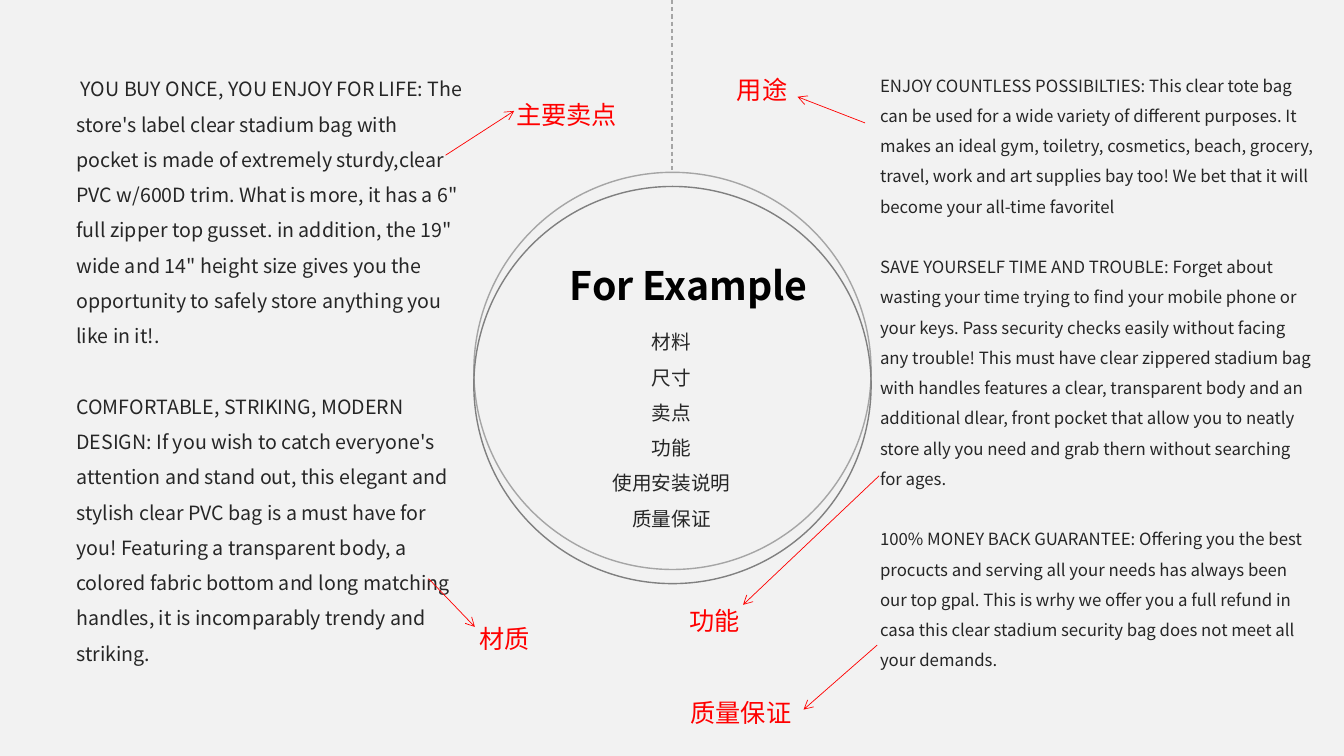
from dataclasses import dataclass

import pptx
import pptx.dml.color
import pptx.enum.dml
import pptx.enum.shapes
import pptx.enum.text
import pptx.oxml.ns
import pptx.util
from lxml import etree

COLUMNS, ROWS = 133.3, 75  # square grid cells of a tenth of an inch
BACKGROUND, RED, INK, BLACK = "F2F2F2", "FF0000", "262626", "000000"
LIGHT_GRAY, DARK_GRAY = "A5A5A5", "808080"
BODY_FONT, LABEL_FONT = "Noto Sans CJK SC", "Open Sans"
LABEL_HEIGHT = 4
CIRCLE_LEFT, CIRCLE_SIZE = 47, 39.4
LEFT, CENTER = pptx.enum.text.PP_ALIGN.LEFT, pptx.enum.text.PP_ALIGN.CENTER


@dataclass
class TextBlock:
    column: float
    row: float
    width: float
    height: float
    paragraphs: list[str]
    size: float
    font: str = BODY_FONT
    color: str = INK
    bold: bool = False
    alignment: pptx.enum.text.PP_ALIGN = LEFT
    line_spacing: float = 1.5
    gap: float = 0


@dataclass
class Callout:
    text: str
    column: float
    row: float
    width: float
    arrow_start: tuple[float, float]
    arrow_end: tuple[float, float]


SELLING_POINTS = [
    " YOU BUY ONCE, YOU ENJOY FOR LIFE: The store's label clear stadium bag with pocket is made of "
    "extremely sturdy,clear PVC w/600D trim. What is more, it has a 6\" full zipper top gusset. "
    "in addition, the 19\" wide and 14\" height size gives you the opportunity to safely store "
    "anything you like in it!.",
    "COMFORTABLE, STRIKING, MODERN DESIGN: If you wish to catch everyone's attention and stand out, "
    "this elegant and stylish clear PVC bag is a must have for you! Featuring a transparent body, "
    "a colored fabric bottom and long matching handles, it is incomparably trendy and striking.",
]
USES_AND_GUARANTEE = [
    "ENJOY COUNTLESS POSSIBILTIES: This clear tote bag can be used for a wide variety of different "
    "purposes. It makes an ideal gym, toiletry, cosmetics, beach, grocery, travel, work and art "
    "supplies bay too! We bet that it will become your all-time favoritel",
    "SAVE YOURSELF TIME AND TROUBLE: Forget about wasting your time trying to find your mobile phone "
    "or your keys. Pass security checks easily without facing any trouble! This must have clear "
    "zippered stadium bag with handles features a clear, transparent body and an additional dlear, "
    "front pocket that allow you to neatly store ally you need and grab thern without searching "
    "for ages.",
    "100% MONEY BACK GUARANTEE: Offering you the best procucts and serving all your needs has always "
    "been our top gpal. This is wrhy we offer you a full refund in casa this clear stadium security "
    "bag does not meet all your demands.",
]
TOPICS = ["材料", "尺寸", "卖点", "功能", "使用安装说明", "质量保证"]

TEXT_BLOCKS = [
    TextBlock(54.7, 25.4, 27.2, 5.7, ["For Example"], 28, color=BLACK, bold=True,
              alignment=CENTER, line_spacing=1),
    TextBlock(51.4, 31.1, 30.4, 22.2, TOPICS, 14, alignment=CENTER),
    TextBlock(6.6, 6, 40.4, 67.1, SELLING_POINTS, 14, gap=25.2),
    TextBlock(86.3, 6, 45.1, 61.6, USES_AND_GUARANTEE, 12, gap=21.6),
]
CALLOUTS = [
    Callout("主要卖点", 50.2, 9.4, 12.6, (44.2, 15.4), (51, 11)),
    Callout("材质", 46.6, 61.3, 11.1, (42.5, 57.4), (47.1, 62.2)),
    Callout("用途", 72.1, 6.9, 9.9, (85.8, 12.2), (79.1, 9.6)),
    Callout("功能", 67.4, 59.6, 8.3, (87.2, 47.2), (73.7, 60)),
    Callout("质量保证", 67.5, 68.7, 14.4, (87, 64), (79.7, 70.4)),
]


def cells(count: float) -> int:
    return pptx.util.Inches(count / 10)


def rgb(color: str) -> pptx.dml.color.RGBColor:
    return pptx.dml.color.RGBColor.from_string(color)


def set_format(target, values: dict) -> None:
    for name, value in values.items():
        setattr(target, name, value)


def add_text(slide, block: TextBlock) -> None:
    shape = slide.shapes.add_textbox(
        *map(cells, (block.column, block.row, block.width, block.height)))
    frame = shape.text_frame
    set_format(frame, {"word_wrap": True,
                       "auto_size": pptx.enum.text.MSO_AUTO_SIZE.SHAPE_TO_FIT_TEXT})
    for index, text in enumerate(block.paragraphs):
        paragraph = frame.add_paragraph() if index else frame.paragraphs[0]
        set_format(paragraph, {"alignment": block.alignment, "line_spacing": block.line_spacing})
        if index and block.gap:
            paragraph.space_before = pptx.util.Pt(block.gap)
        run = paragraph.add_run()
        run.text = text
        set_format(run.font, {"size": pptx.util.Pt(block.size), "name": block.font,
                              "bold": block.bold})
        run.font.color.rgb = rgb(block.color)
        east_asian = etree.SubElement(run.font._element, pptx.oxml.ns.qn("a:ea"))
        east_asian.set("typeface", block.font)


def add_line(slide, start: tuple[float, float], end: tuple[float, float],
             color: str, weight: float):
    connector = slide.shapes.add_connector(
        pptx.enum.shapes.MSO_CONNECTOR.STRAIGHT, *map(cells, (*start, *end)))
    connector.line.width = pptx.util.Pt(weight)
    connector.line.color.rgb = rgb(color)
    etree.SubElement(connector._element.spPr, pptx.oxml.ns.qn("a:effectLst"))
    return connector


def add_circle(slide, row: float, color: str, filled: bool) -> None:
    shape = slide.shapes.add_shape(
        pptx.enum.shapes.MSO_SHAPE.OVAL,
        *map(cells, (CIRCLE_LEFT, row, CIRCLE_SIZE, CIRCLE_SIZE)))
    shape.shadow.inherit = False
    if filled:
        shape.fill.solid()
        shape.fill.fore_color.rgb = rgb(BACKGROUND)
    else:
        shape.fill.background()
    shape.line.width = pptx.util.Pt(1)
    shape.line.color.rgb = rgb(color)


def add_callout(slide, callout: Callout) -> None:
    arrow = add_line(slide, callout.arrow_start, callout.arrow_end, RED, 0.5)
    head = etree.SubElement(arrow.line._get_or_add_ln(), pptx.oxml.ns.qn("a:tailEnd"))
    head.set("type", "arrow")
    add_text(slide, TextBlock(callout.column, callout.row, callout.width, LABEL_HEIGHT,
                              [callout.text], 18, LABEL_FONT, RED, line_spacing=1))


def main() -> None:
    presentation = pptx.Presentation()
    set_format(presentation, {"slide_width": cells(COLUMNS), "slide_height": cells(ROWS)})
    slide = presentation.slides.add_slide(presentation.slide_layouts[6])
    slide.background.fill.solid()
    slide.background.fill.fore_color.rgb = rgb(BACKGROUND)

    hanger = add_line(slide, (COLUMNS / 2, 0), (COLUMNS / 2, 24), LIGHT_GRAY, 0.75)
    hanger.line.dash_style = pptx.enum.dml.MSO_LINE.DASH
    add_circle(slide, 17.1, LIGHT_GRAY, filled=True)
    add_circle(slide, 18.5, DARK_GRAY, filled=False)
    for block in TEXT_BLOCKS:
        add_text(slide, block)
    for callout in CALLOUTS:
        add_callout(slide, callout)
    presentation.save("out.pptx")


if __name__ == "__main__":
    main()
